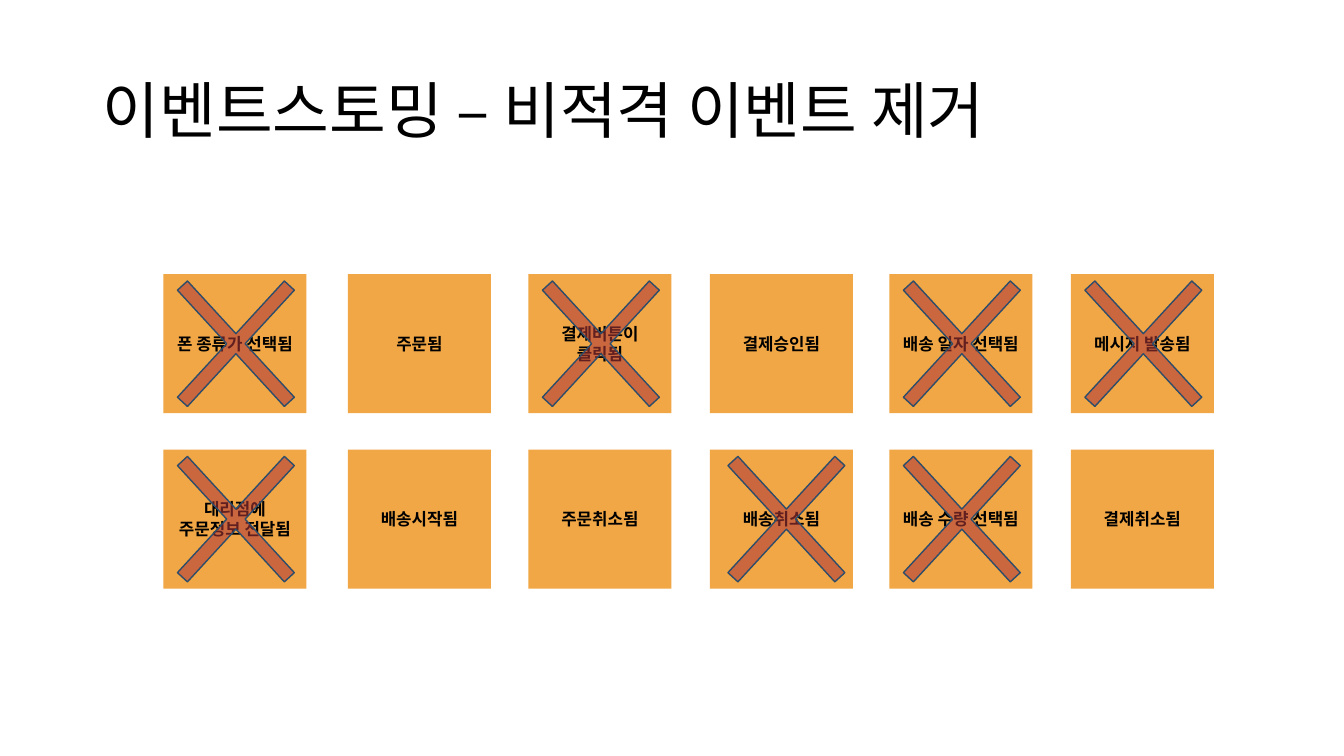
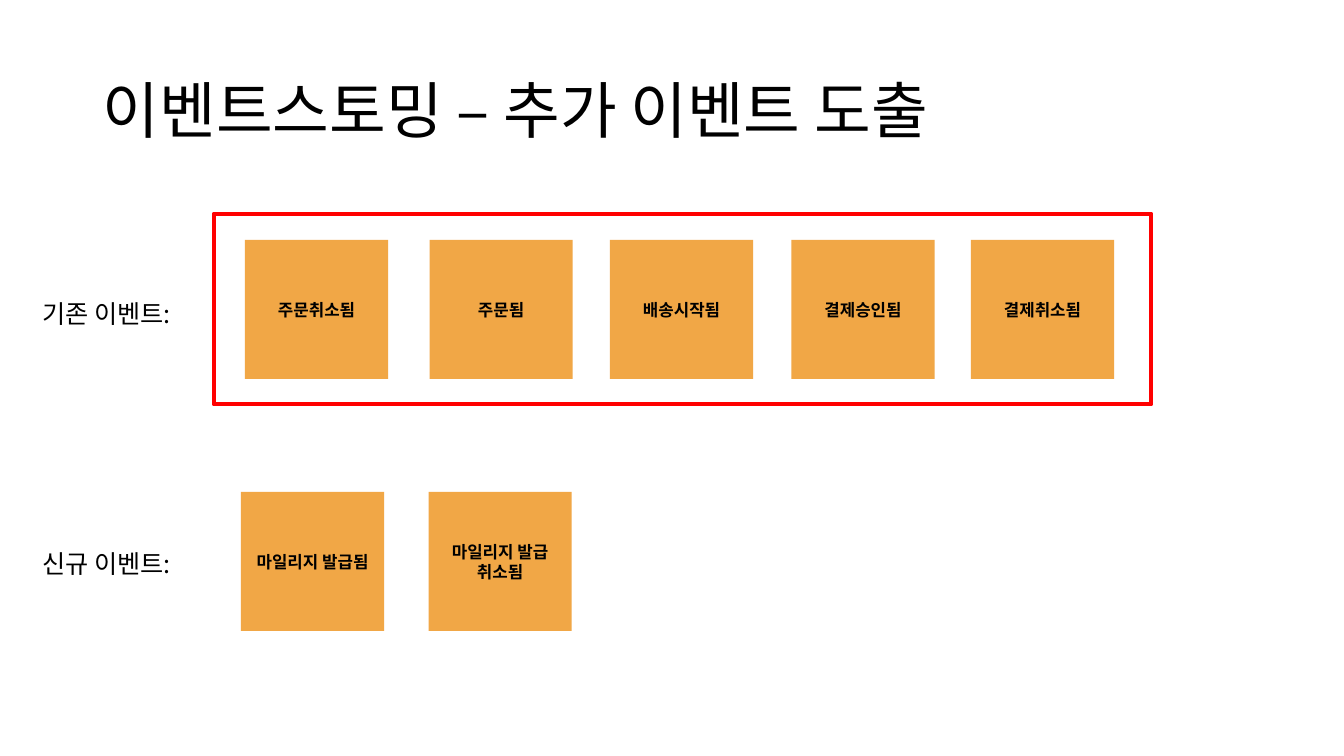
import pptx
import pptx.dml.color
import pptx.enum.shapes
import pptx.enum.text
import pptx.oxml.ns
import pptx.oxml.xmlchemy
import pptx.util
from lxml import etree

Inches = pptx.util.Inches
Pt = pptx.util.Pt
qn = pptx.oxml.ns.qn
SHAPES = pptx.enum.shapes.MSO_SHAPE
ALIGN = pptx.enum.text.PP_ALIGN
ANCHOR = pptx.enum.text.MSO_ANCHOR

COLORS = {
    "text": "000000",
    "event": "F1A746",
    "cross": "AD3838",
    "cross_edge": "2D4D6A",
    "frame": "FF0000",
}
FONT = "Noto Sans CJK KR"

EVENT_SIZE = (1.42, 1.38)
CROSS_SIZE = (2.04, 2.22)
CROSS_OFFSET = (-0.3, -0.42)
COLUMNS = (1.62, 3.45, 5.24, 7.04, 8.82, 10.62)
KEPT_INDENT = 0.81

CANDIDATE_ROWS = {
    2.72: ("폰 종류가 선택됨", "주문됨", "결제버튼이 클릭됨",
           "결제승인됨", "배송 일자 선택됨", "메시지 발송됨"),
    4.46: ("대리점에 주문정보 전달됨", "배송시작됨", "주문취소됨",
           "배송취소됨", "배송 수량 선택됨", "결제취소됨"),
}
KEPT_EVENTS = ("주문취소됨", "주문됨", "배송시작됨", "결제승인됨", "결제취소됨")
NEW_EVENTS = {2.39: "마일리지 발급됨", 4.25: "마일리지 발급 취소됨"}
CROSS_NUDGES = {"배송취소됨": 0.04}


def rgb(name):
    return pptx.dml.color.RGBColor.from_string(COLORS[name])


def write_text(shape, text, size=12, bold=False, align=ALIGN.LEFT,
               anchor=ANCHOR.MIDDLE, line_spacing=None):
    frame = shape.text_frame
    frame.word_wrap = True
    frame.vertical_anchor = anchor
    paragraph = frame.paragraphs[0]
    paragraph.alignment = align
    paragraph.line_spacing = line_spacing
    run = paragraph.add_run()
    run.text = text
    run.font.size = Pt(size)
    run.font.bold = bold
    run.font.name = FONT
    run.font.color.rgb = rgb("text")
    etree.SubElement(run.font._element, qn("a:ea"), typeface=FONT)


class Deck:
    def __init__(self):
        self.presentation = pptx.Presentation()
        self.presentation.slide_width = Inches(13.33)
        self.presentation.slide_height = Inches(7.5)
        self.slide = None

    def start_slide(self, title):
        blank = self.presentation.slide_layouts[6]
        self.slide = self.presentation.slides.add_slide(blank)
        self.text(title, 0.92, 0.4, 11.5, 1.45, size=44, line_spacing=0.9)

    def text(self, text, left, top, width, height, **text_format):
        box = self.slide.shapes.add_textbox(
            Inches(left), Inches(top), Inches(width), Inches(height))
        write_text(box, text, **text_format)

    def shape(self, kind, left, top, width, height,
              fill=None, line=None, line_width=1):
        shape = self.slide.shapes.add_shape(
            kind, Inches(left), Inches(top), Inches(width), Inches(height))
        shape.shadow.inherit = False
        if fill:
            shape.fill.solid()
            shape.fill.fore_color.rgb = rgb(fill)
        else:
            shape.fill.background()
        if line:
            shape.line.color.rgb = rgb(line)
            shape.line.width = Pt(line_width)
        else:
            shape.line.fill.background()
        return shape

    def event(self, text, left, top):
        note = self.shape(SHAPES.RECTANGLE, left, top, *EVENT_SIZE, fill="event")
        write_text(note, text, bold=True, align=ALIGN.CENTER)

    def cross(self, event_left, event_top):
        left = event_left + CROSS_OFFSET[0]
        top = event_top + CROSS_OFFSET[1]
        cross = self.shape(SHAPES.MATH_MULTIPLY, left, top, *CROSS_SIZE,
                           fill="cross", line="cross_edge")
        cross.adjustments[0] = 0.066
        color = cross.fill._xPr.find(qn("a:solidFill")).find(qn("a:srgbClr"))
        etree.SubElement(color, qn("a:alpha"), val="57000")

    def frame(self, left, top, width, height):
        self.shape(SHAPES.RECTANGLE, left, top, width, height,
                   line="frame", line_width=3)

    def label(self, text, top):
        self.text(text, 0.32, top, 1.65, 0.4, size=18, anchor=ANCHOR.TOP)


def build_removal(deck):
    deck.start_slide("이벤트스토밍 – 비적격 이벤트 제거")
    for top, events in CANDIDATE_ROWS.items():
        for left, event in zip(COLUMNS, events):
            deck.event(event, left, top)
            if event not in KEPT_EVENTS:
                deck.cross(left + CROSS_NUDGES.get(event, 0), top)


def build_additions(deck):
    deck.start_slide("이벤트스토밍 – 추가 이벤트 도출")
    deck.frame(2.12, 2.12, 9.3, 1.89)
    deck.label("기존 이벤트:", 2.91)
    for left, event in zip(COLUMNS, KEPT_EVENTS):
        deck.event(event, left + KEPT_INDENT, 2.38)
    deck.label("신규 이벤트:", 5.39)
    for left, event in NEW_EVENTS.items():
        deck.event(event, left, 4.88)


def main():
    deck = Deck()
    build_removal(deck)
    build_additions(deck)
    deck.presentation.save("out.pptx")


if __name__ == "__main__":
    main()
